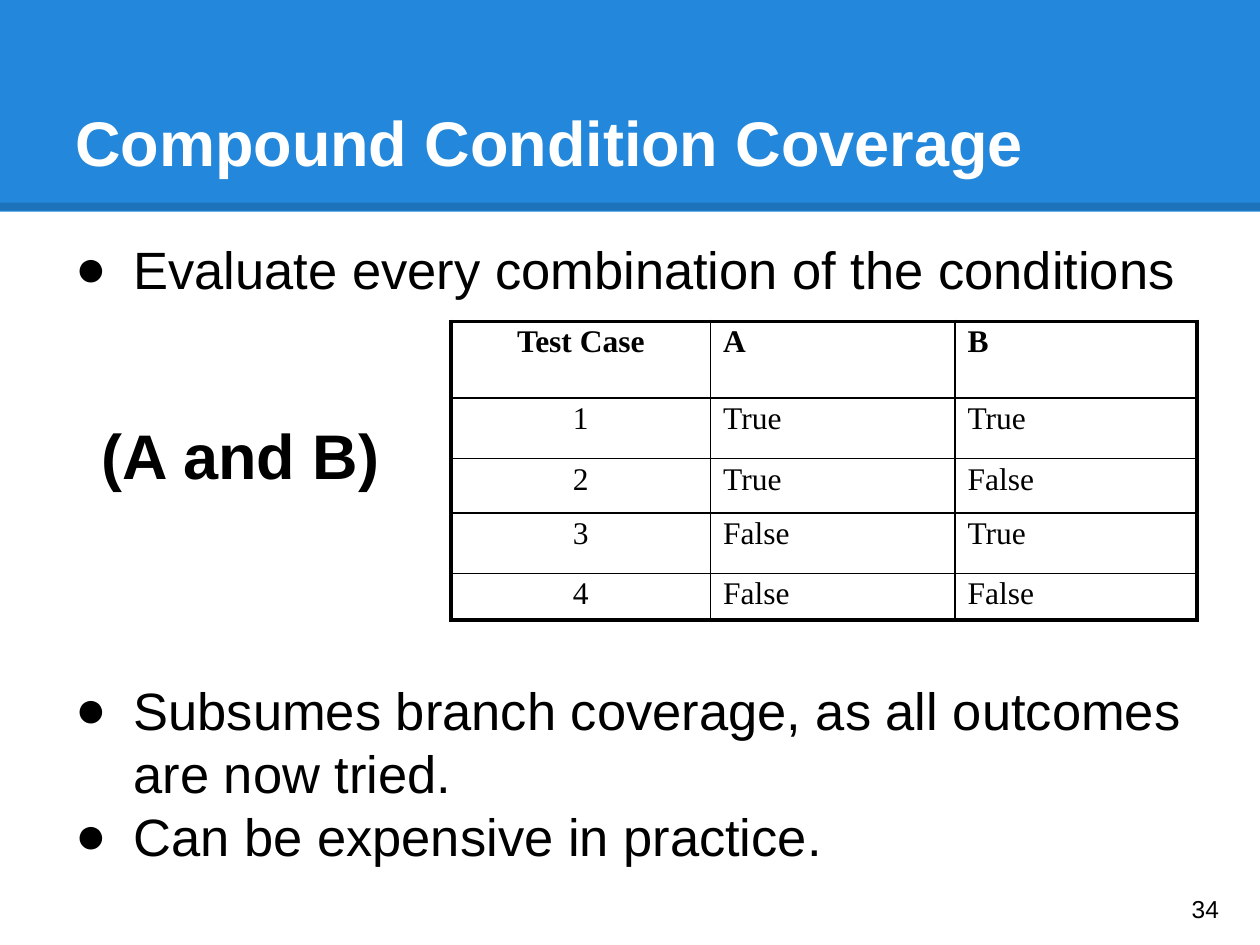
import pptx
import pptx.util
import pptx.dml.color
import pptx.enum.shapes
import pptx.enum.text
import pptx.oxml
import pptx.oxml.ns
from lxml import etree

Inches = pptx.util.Inches
Pt = pptx.util.Pt
ANCHOR = pptx.enum.text.MSO_ANCHOR
ALIGN = pptx.enum.text.PP_ALIGN

BLACK, WHITE, BLUE = "000000", "FFFFFF", "2388DB"


def color(value):
    return pptx.dml.color.RGBColor.from_string(value)


def add_xml(parent, tag, **attributes):
    return etree.SubElement(parent, pptx.oxml.ns.qn(tag), attributes)


def format_runs(para, size, value=BLACK, bold=False, name="Arial"):
    for span in para.runs:
        span.font.name = name
        span.font.size = Pt(size)
        span.font.bold = bold
        span.font.color.rgb = color(value)


def set_margins(target, left, top, right, bottom):
    target.margin_left, target.margin_top = Inches(left), Inches(top)
    target.margin_right, target.margin_bottom = Inches(right), Inches(bottom)


def add_text(page, box, text, margins, anchor=ANCHOR.TOP, **style):
    frame = page.shapes.add_textbox(*map(Inches, box)).text_frame
    frame.word_wrap = True
    frame.vertical_anchor = anchor
    set_margins(frame, *margins)
    frame.text = text
    for para in frame.paragraphs:
        format_runs(para, **style)
    return frame


# Title band with a darker lower edge
def add_header(page, box, title):
    left, top, width, height = box
    band = page.shapes.add_shape(
        pptx.enum.shapes.MSO_SHAPE.RECTANGLE, *map(Inches, box))
    band.shadow.inherit = False
    band.fill.solid()
    band.fill.fore_color.rgb = color(BLUE)
    band.line.fill.background()

    edge_y = Inches(top + height - 0.04)
    edge = page.shapes.add_connector(
        pptx.enum.shapes.MSO_CONNECTOR.STRAIGHT,
        Inches(left), edge_y, Inches(left + width), edge_y)
    edge.line.width = Pt(4.5)
    edge.line.color.rgb = color(BLACK)
    shade = edge.line._ln.find(".//" + pptx.oxml.ns.qn("a:srgbClr"))
    add_xml(shade, "a:alpha", val="15000")
    add_xml(edge._element.spPr, "a:effectLst")

    add_text(page, (left + 0.5, top + 0.5, width - 1, 1.25), title,
             (0.1, 0.05, 0.05, 0.05), ANCHOR.MIDDLE,
             size=36, value=WHITE, bold=True)


# Bullets, with a gap after the first one for the example
def add_bullets(page, box, bullets, gap):
    frame = add_text(page, box, "\n".join(bullets),
                     (0.06, 0.13, 0.1, 0.05), size=30)
    for para in frame.paragraphs:
        para.line_spacing = Pt(36)
        properties = para._p.get_or_add_pPr()
        properties.set("marL", str(Inches(0.5)))
        properties.set("indent", str(Inches(-0.46)))
        add_xml(add_xml(properties, "a:buClr"), "a:srgbClr", val=BLACK)
        add_xml(properties, "a:buFont", typeface="Arial")
        add_xml(properties, "a:buChar", char="●")
    frame.paragraphs[0].space_after = Inches(gap)


def add_border(cell, side, width):
    line = add_xml(cell._tc.get_or_add_tcPr(), "a:ln" + side, w=str(Pt(width)))
    add_xml(add_xml(line, "a:solidFill"), "a:srgbClr", val=BLACK)


# Truth table: thick frame, thin inner lines
def add_truth_table(page, left, top, widths, heights, rows):
    table = page.shapes.add_table(
        len(rows), len(widths), Inches(left), Inches(top),
        Inches(sum(widths)), Inches(sum(heights))).table
    table.first_row = table.horz_banding = False
    for column, width in zip(table.columns, widths):
        column.width = Inches(width)
    for row, height in zip(table.rows, heights):
        row.height = Inches(height)

    last_row, last_column = len(rows) - 1, len(widths) - 1
    for r, values in enumerate(rows):
        for c, value in enumerate(values):
            cell = table.cell(r, c)
            set_margins(cell, 0.1, 0.05, 0.1, 0.05)
            cell.text_frame.text = value
            para = cell.text_frame.paragraphs[0]
            para.line_spacing = 0.9
            para.alignment = ALIGN.CENTER if c == 0 else ALIGN.LEFT
            format_runs(para, 18, bold=r == 0, name="Times New Roman")
            outer = {"L": c == 0, "R": c == last_column,
                     "T": r == 0, "B": r == last_row}
            for side, thick in outer.items():
                add_border(cell, side, 2.25 if thick else 1)
            cell.fill.background()


deck = pptx.Presentation()
deck.slide_width, deck.slide_height = Inches(10), Inches(7.5)
page = deck.slides.add_slide(deck.slide_layouts[6])

add_header(page, (0, 0, 10, 1.68), "Compound Condition Coverage")
add_bullets(page, (0.5, 1.75, 9, 5.43), [
    "Evaluate every combination of the conditions",
    "Subsumes branch coverage, as all outcomes are now tried.",
    "Can be expensive in practice.",
], gap=3)
add_truth_table(
    page, 3.58, 2.55, (2.06, 1.94, 1.92), (0.61, 0.48, 0.43, 0.48, 0.37), [
        ("Test Case", "A", "B"),
        ("1", "True", "True"),
        ("2", "True", "False"),
        ("3", "False", "True"),
        ("4", "False", "False"),
    ])

# Condition under test and page number
add_text(page, (0.71, 3.21, 2.57, 0.84), "(A and B)", (0.1,) * 4,
         size=36, bold=True)
add_text(page, (9.36, 6.93, 0.6, 0.57), "34", (0.1,) * 4, ANCHOR.MIDDLE,
         size=14)

deck.save("out.pptx")
